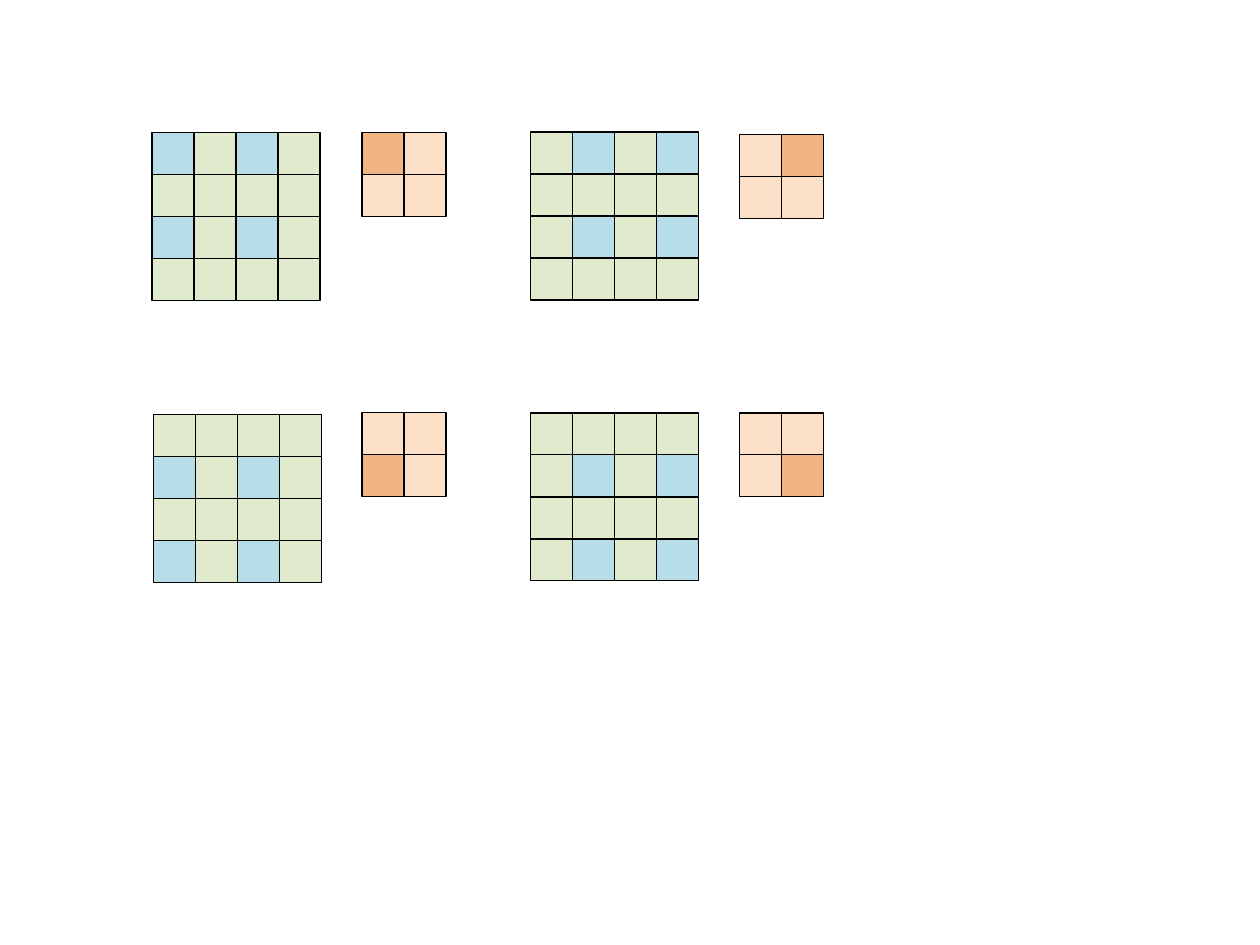
import pptx
import pptx.dml.color
import pptx.enum.shapes
import pptx.oxml
import pptx.oxml.ns
import pptx.util

RGBColor = pptx.dml.color.RGBColor
GREEN = RGBColor(0xC3, 0xD6, 0x9B)
BLUE = RGBColor(0xB7, 0xDE, 0xE8)
PEACH = RGBColor(0xFA, 0xC0, 0x90)
ORANGE = RGBColor(0xE4, 0x6C, 0x0A)
BLACK = RGBColor(0, 0, 0)

SLIDE_WIDTH = pptx.util.Inches(10)
SLIDE_HEIGHT = pptx.util.Inches(7.5)
UNIT = SLIDE_WIDTH / 30
INPUT_SIZE, KERNEL_SIZE = 4, 2

# Each step: active kernel (row, column), input corner, kernel corner.
STEPS = [
    ((0, 0), (3.62, 3.15), (8.62, 3.16)),
    ((0, 1), (12.63, 3.14), (17.6, 3.2)),
    ((1, 0), (3.66, 9.87), (8.62, 9.82)),
    ((1, 1), (12.63, 9.83), (17.6, 9.83)),
]


def draw_cell(matrix, left, top, side, color, opaque):
    """Add one outlined square to a matrix group."""
    cell = matrix.shapes.add_shape(
        pptx.enum.shapes.MSO_SHAPE.RECTANGLE,
        round(left), round(top), round(side), round(side))
    cell.shadow.inherit = False
    cell.fill.solid()
    cell.fill.fore_color.rgb = color
    cell.line.color.rgb = BLACK
    cell.line.width = pptx.util.Pt(0)
    if not opaque:
        srgb = cell.fill._xPr.find(".//" + pptx.oxml.ns.qn("a:srgbClr"))
        srgb.append(pptx.oxml.parse_xml(
            f'<a:alpha {pptx.oxml.ns.nsdecls("a")} val="50000"/>'))


def draw_matrix(slide, box, size, color_at):
    """Fill a square box (left, top, side) with a size-by-size matrix."""
    left, top, side = box
    pitch = side / size
    matrix = slide.shapes.add_group_shape()
    for row in range(size):
        for column in range(size):
            color = color_at(row, column)
            draw_cell(matrix, left + column * pitch, top + row * pitch,
                      pitch, color, color == BLUE)


def draw_step(slide, active, input_corner, kernel_corner):
    """Draw an input matrix beside the kernel whose active weight it meets."""
    def input_color(row, column):
        """Pick blue where the stride-two kernel weight lands."""
        return BLUE if (row % KERNEL_SIZE, column % KERNEL_SIZE) == active else GREEN

    def kernel_color(row, column):
        """Pick orange for the active weight."""
        return ORANGE if (row, column) == active else PEACH

    for (left, top), size, color_at in (
            (kernel_corner, KERNEL_SIZE, kernel_color),
            (input_corner, INPUT_SIZE, input_color)):
        draw_matrix(slide, (left * UNIT, top * UNIT, size * UNIT), size, color_at)


def main():
    """Build the slide of four kernel steps and save it."""
    presentation = pptx.Presentation()
    presentation.slide_width = SLIDE_WIDTH
    presentation.slide_height = SLIDE_HEIGHT
    slide = presentation.slides.add_slide(presentation.slide_layouts[6])
    for active, input_corner, kernel_corner in STEPS:
        draw_step(slide, active, input_corner, kernel_corner)
    presentation.save("out.pptx")


if __name__ == "__main__":
    main()
